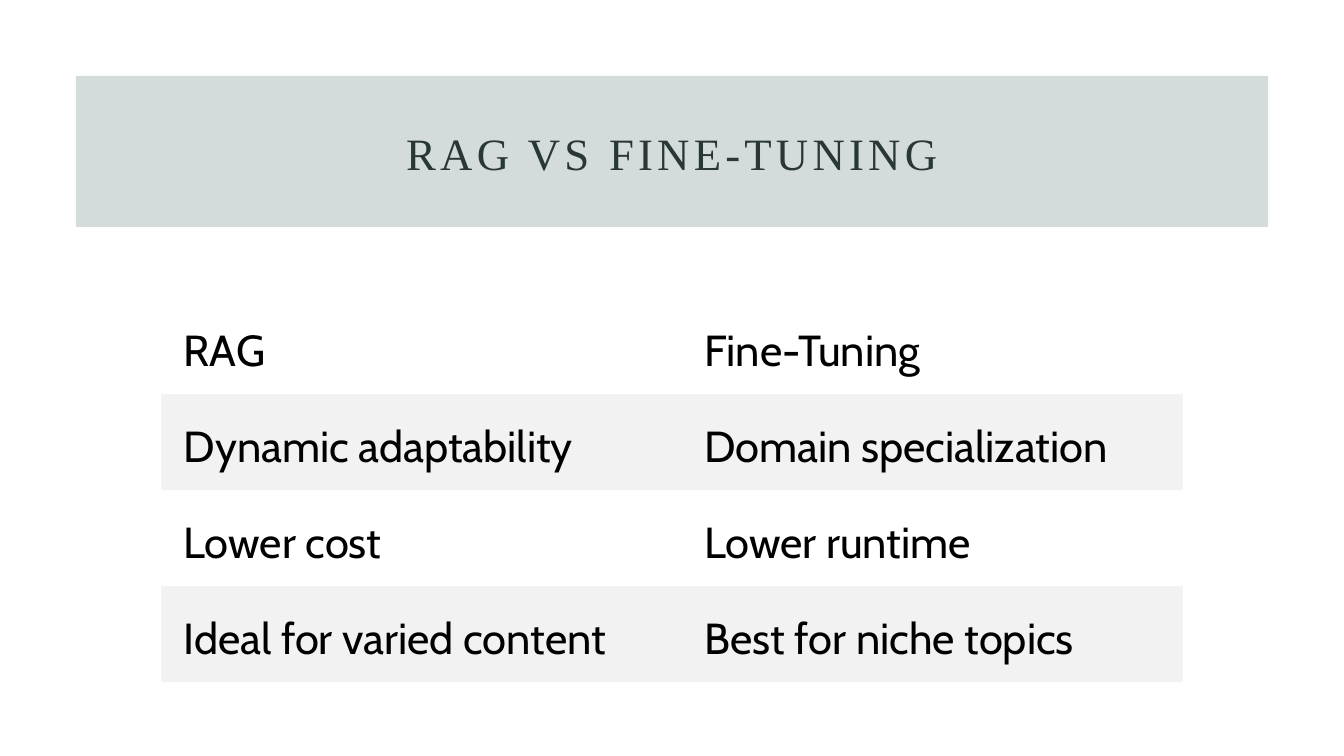
import lxml.etree
import pptx
import pptx.dml.color
import pptx.enum.shapes
import pptx.enum.text
import pptx.oxml.ns
import pptx.util

Cm = pptx.util.Cm
Pt = pptx.util.Pt
MIDDLE = pptx.enum.text.MSO_ANCHOR.MIDDLE
CENTER = pptx.enum.text.PP_ALIGN.CENTER
PLAIN_TABLE_STYLE = "{2D5ABB26-0587-4C30-8999-92F81FD0307C}"


def colour(value):
    return pptx.dml.color.RGBColor.from_string(value)


class ComparisonPage:
    title_font = "Times New Roman"
    body_font = "Cabin"
    title_colour = "293737"
    text_colour = "000000"
    band_colour = "557272"
    stripe_colour = "F2F2F2"

    def __init__(self, deck):
        self.page = deck.slides.add_slide(deck.slide_layouts[5])
        self.page.background.fill.solid()
        self.page.background.fill.fore_color.rgb = colour("FFFFFF")

    def add_span(self, para, text, font, size, ink):
        span = para.add_run()
        span.text = text
        span.font.name = font
        span.font.size = Pt(size)
        span.font.color.rgb = colour(ink)

    def band(self, left, top, width, height, opacity):
        box = self.page.shapes.add_shape(
            pptx.enum.shapes.MSO_SHAPE.RECTANGLE,
            Cm(left), Cm(top), Cm(width), Cm(height))
        box.shadow.inherit = False
        box.line.fill.background()
        box.fill.solid()
        box.fill.fore_color.rgb = colour(self.band_colour)
        shade = box.element.spPr.find(".//" + pptx.oxml.ns.qn("a:srgbClr"))
        lxml.etree.SubElement(
            shade, pptx.oxml.ns.qn("a:alpha"), val=str(opacity * 1000))
        self.page.shapes.title.element.addprevious(box.element)

    def title(self, text, left, top, width, height):
        box = self.page.shapes.title
        box.left, box.top = Cm(left), Cm(top)
        box.width, box.height = Cm(width), Cm(height)
        frame = box.text_frame
        frame.word_wrap = True
        frame.vertical_anchor = MIDDLE
        para = frame.paragraphs[0]
        para.alignment = CENTER
        para.line_spacing = 0.9
        self.add_span(para, text, self.title_font, 32, self.title_colour)
        box.element.find(".//" + pptx.oxml.ns.qn("a:rPr")).set("spc", "300")

    def table(self, rows, left, top, column_widths, row_height):
        holder = self.page.shapes.add_table(
            len(rows), len(column_widths), Cm(left), Cm(top),
            Cm(sum(column_widths)), Cm(row_height * len(rows)))
        holder.element.find(
            ".//" + pptx.oxml.ns.qn("a:tableStyleId")).text = PLAIN_TABLE_STYLE
        grid = holder.table
        grid.first_row = False
        grid.horz_banding = False
        for column, width in zip(grid.columns, column_widths):
            column.width = Cm(width)
        for index, texts in enumerate(rows):
            grid.rows[index].height = Cm(row_height)
            for cell, text in zip(grid.rows[index].cells, texts):
                self.cell(cell, text, striped=index % 2 == 1)

    def cell(self, cell, text, striped):
        cell.vertical_anchor = MIDDLE
        cell.margin_left = cell.margin_right = cell.margin_top = Cm(0.57)
        cell.margin_bottom = Cm(0.28)
        if striped:
            cell.fill.solid()
            cell.fill.fore_color.rgb = colour(self.stripe_colour)
        else:
            cell.fill.background()
        self.add_span(cell.text_frame.paragraphs[0], text,
                      self.body_font, 31, self.text_colour)


def main():
    deck = pptx.Presentation()
    deck.slide_width, deck.slide_height = Cm(33.87), Cm(19.05)
    comparison = ComparisonPage(deck)
    comparison.band(1.91, 1.91, 30.05, 3.81, opacity=25)
    comparison.title("RAG VS FINE-TUNING", 3.89, 2.64, 26.09, 2.59)
    comparison.table(
        [("RAG", "Fine-Tuning"),
         ("Dynamic adaptability", "Domain specialization"),
         ("Lower cost", "Lower runtime"),
         ("Ideal for varied content", "Best for niche topics")],
        left=4.06, top=7.5, column_widths=(13.12, 12.63), row_height=2.42)
    deck.save("out.pptx")


if __name__ == "__main__":
    main()
